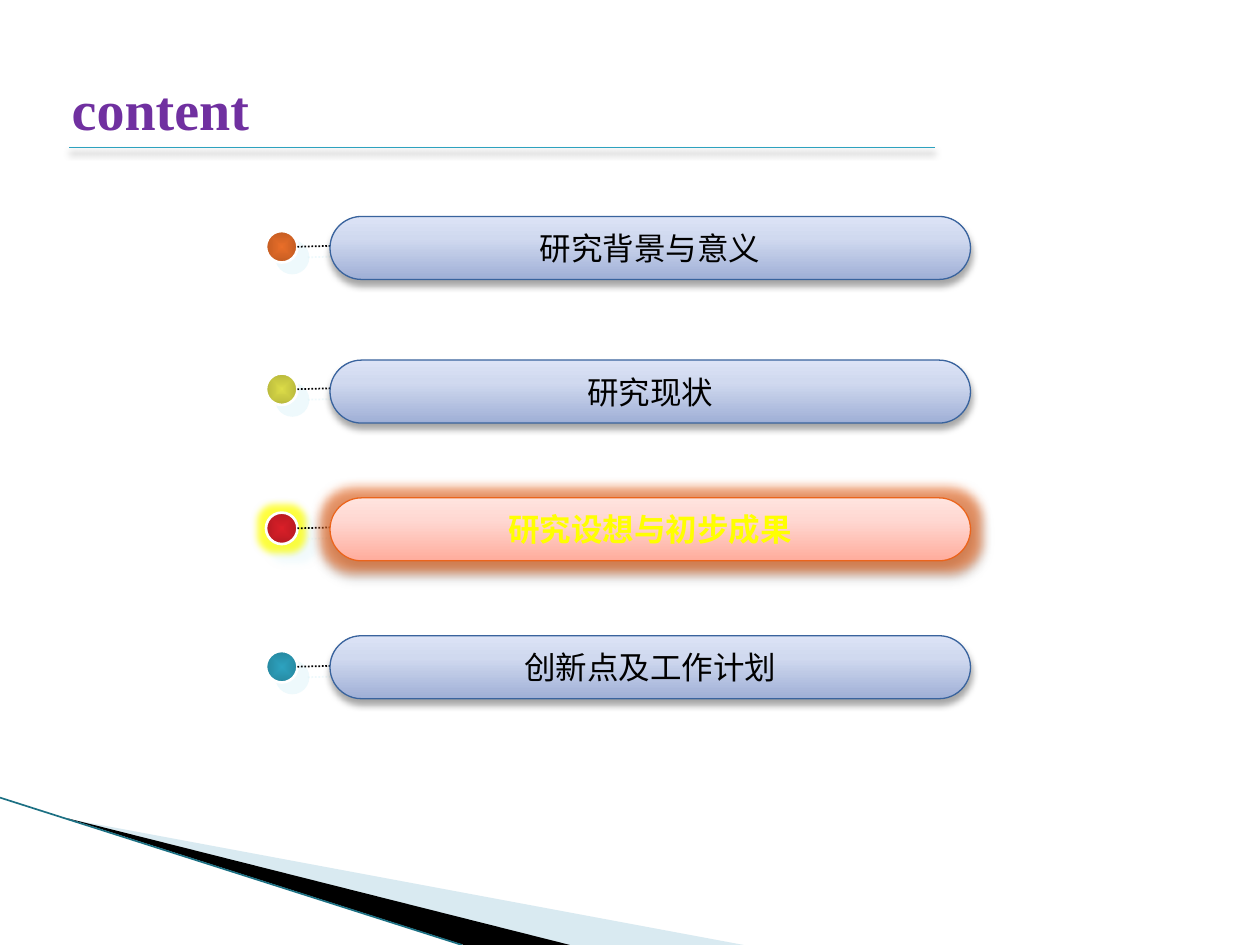
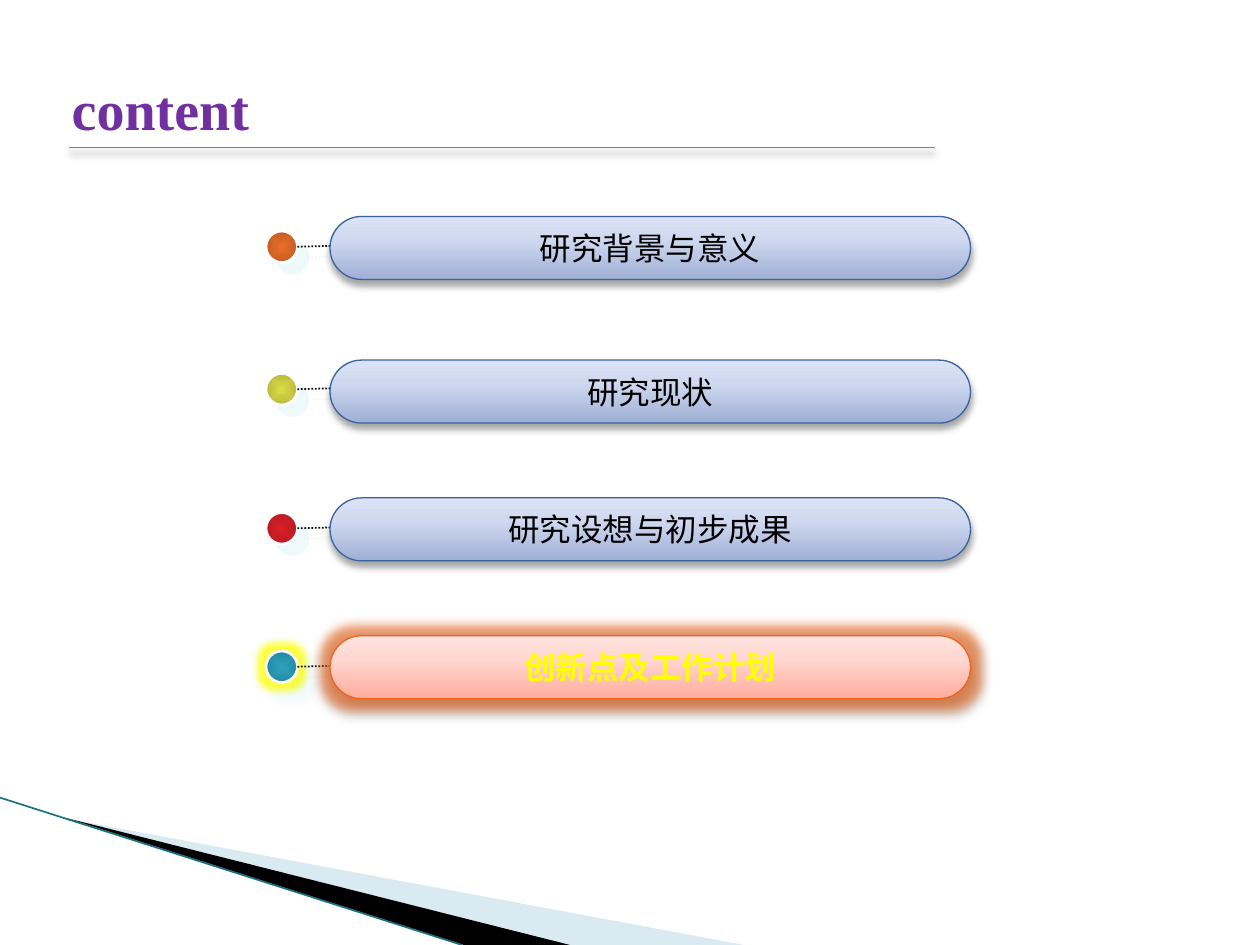
from dataclasses import dataclass

from lxml.etree import SubElement
from pptx import Presentation
from pptx.dml.color import RGBColor
from pptx.enum.dml import MSO_LINE
from pptx.enum.shapes import MSO_CONNECTOR, MSO_SHAPE
from pptx.enum.text import MSO_ANCHOR, PP_ALIGN
from pptx.oxml import parse_xml
from pptx.oxml.ns import nsdecls, qn
from pptx.util import Pt

COLOURS = {
    "white": "FFFFFF", "black": "000000", "title": "7030A0", "rule": "2DA2BF",
    "wedge": "A0CBDC", "wedge_edge": "1C7083", "dot_shadow": "DEF5FA",
    "highlight_text": "FFFF00", "dot_glow": "FFFF00", "pill_glow": "EB641B",
    "pill_line": "39639D", "highlight_line": "EB641B",
}
PILL_STOPS = [(0, "9FAFD6"), (65, "D0D9EF"), (100, "DCE3F6")]
HIGHLIGHT_STOPS = [(0, "FFAC9C"), (65, "FFD8D2"), (100, "FFE4DF")]
UPWARD = '<a:lin ang="16200000" scaled="0"/>'
FROM_CENTRE = ('<a:path path="shape"><a:fillToRect l="50000" t="50000" '
               'r="50000" b="50000"/></a:path>')

PILL_LEFT, PILL_WIDTH, PILL_HEIGHT = 188.6, 366, 36
DOT_LEFT, DOT_SIZE = 152, 18
LEADER_END = 197.3


@dataclass(frozen=True)
class Shadow:
    colour: str
    alpha: int
    blur: float
    distance: float
    angle: int


@dataclass(frozen=True)
class Glow:
    colour: str
    alpha: int
    radius: float


@dataclass(frozen=True)
class Topic:
    text: str
    pill_top: float
    dot_top: float
    inner: str
    outer: str


DOT_SHADOW = Shadow("dot_shadow", 50, 0, 8.5, 45)
PILL_SHADOW = Shadow("black", 35, 4, 3, 90)
RULE_SHADOW = Shadow("black", 40, 4, 3, 90)
DOT_GLOW = Glow("dot_glow", 75, 8)
PILL_GLOW = Glow("pill_glow", 60, 11)

TOPICS = [
    Topic("研究背景与意义", 123.7, 132, "E96E29", "C35C22"),
    Topic("研究现状", 205.8, 213.4, "DCDC48", "B8B83C"),
    Topic("研究设想与初步成果", 284.5, 292.9, "DA1F28", "B71A22"),
    Topic("创新点及工作计划", 363.3, 372, "2DA2BF", "2688A0"),
]


def rgb(name: str) -> RGBColor:
    return RGBColor.from_string(COLOURS[name])


def add_colour(parent, name: str, alpha: int) -> None:
    colour = SubElement(parent, qn("a:srgbClr"), val=COLOURS[name])
    SubElement(colour, qn("a:alpha"), val=str(alpha * 1000))


def set_effects(shape, shadow: Shadow | None = None, glow: Glow | None = None) -> None:
    """Replace the theme's effects; call after the fill and line are set."""
    effects = SubElement(shape._element.spPr, qn("a:effectLst"))
    if glow:
        element = SubElement(effects, qn("a:glow"), rad=str(Pt(glow.radius)))
        add_colour(element, glow.colour, glow.alpha)
    if shadow:
        element = SubElement(
            effects, qn("a:outerShdw"), blurRad=str(Pt(shadow.blur)),
            dist=str(Pt(shadow.distance)), dir=str(shadow.angle * 60000),
            algn="ctr", rotWithShape="0")
        add_colour(element, shadow.colour, shadow.alpha)


def set_gradient(shape, stops: list[tuple[int, str]], direction: str) -> None:
    shape.fill.solid()
    properties = shape._element.spPr
    stop_xml = "".join(f'<a:gs pos="{position * 1000}"><a:srgbClr val="{colour}"/></a:gs>'
                       for position, colour in stops)
    gradient = parse_xml(f'<a:gradFill {nsdecls("a")} rotWithShape="1">'
                         f'<a:gsLst>{stop_xml}</a:gsLst>{direction}</a:gradFill>')
    properties.replace(properties.find(qn("a:solidFill")), gradient)


def write_text(shape, text: str, *, font: str, size: float, colour: str,
               bold: bool = False, align=PP_ALIGN.LEFT, wrap: bool = True) -> None:
    frame = shape.text_frame
    frame.word_wrap = wrap
    frame.vertical_anchor = MSO_ANCHOR.MIDDLE
    para = frame.paragraphs[0]
    para.alignment = align
    span = para.add_run()
    span.text = text
    span.font.name = font
    span.font.size = Pt(size)
    span.font.bold = bold
    span.font.color.rgb = rgb(colour)
    SubElement(span._r.get_or_add_rPr(), qn("a:ea"), typeface=font)


def add_line(shapes, start: tuple[float, float], end: tuple[float, float], colour: str,
             width: float, shadow: Shadow | None = None, dash=None) -> None:
    line = shapes.add_connector(MSO_CONNECTOR.STRAIGHT, *map(Pt, start + end))
    line.line.color.rgb = rgb(colour)
    line.line.width = Pt(width)
    if dash:
        line.line.dash_style = dash
    set_effects(line, shadow)


def add_wedge(page, corners: list[tuple[float, float]], colour: str,
              alpha: int = 100) -> None:
    points = [(Pt(x), Pt(y)) for x, y in corners]
    builder = page.shapes.build_freeform(*points[0], scale=1.0)
    builder.add_line_segments(points[1:], close=True)
    wedge = builder.convert_to_shape()
    wedge.fill.solid()
    wedge.fill.fore_color.rgb = rgb(colour)
    colour_element = wedge._element.spPr.find(qn("a:solidFill"))[0]
    SubElement(colour_element, qn("a:alpha"), val=str(alpha * 1000))
    wedge.line.fill.background()
    set_effects(wedge)


def add_corner_band(page) -> None:
    add_wedge(page, [(39, 468), (425, 540), (325, 540)], "wedge", 40)
    add_wedge(page, [(38, 467.5), (325.7, 540), (265, 540)], "black")
    add_line(page.shapes, (0, 455.8), (264, 540), "wedge_edge", 0.95)


def add_heading(page, text: str) -> None:
    title = page.shapes.title
    title.left, title.top, title.width, title.height = map(Pt, (33.8, 33.8, 157.7, 56.2))
    write_text(title, text, font="Times New Roman", size=32, colour="title", bold=True)
    add_line(page.shapes, (39.6, 84.3), (534.2, 84.3), "rule", 0.75, RULE_SHADOW)


def add_topic(page, topic: Topic, highlighted: bool) -> None:
    shapes = page.shapes.add_group_shape().shapes

    dot = shapes.add_shape(MSO_SHAPE.OVAL, Pt(DOT_LEFT), Pt(topic.dot_top),
                           Pt(DOT_SIZE), Pt(DOT_SIZE))
    set_gradient(dot, [(0, topic.inner), (100, topic.outer)], FROM_CENTRE)
    dot.line.color.rgb = rgb("white")
    dot.line.width = Pt(1.5)
    set_effects(dot, DOT_SHADOW, DOT_GLOW if highlighted else None)

    middle = topic.dot_top + DOT_SIZE / 2
    add_line(shapes, (DOT_LEFT + DOT_SIZE, middle), (LEADER_END, middle - 0.7),
             "black", 1, DOT_SHADOW, MSO_LINE.ROUND_DOT)

    pill = shapes.add_shape(MSO_SHAPE.ROUNDED_RECTANGLE, Pt(PILL_LEFT), Pt(topic.pill_top),
                            Pt(PILL_WIDTH), Pt(PILL_HEIGHT))
    pill.adjustments[0] = 0.5
    set_gradient(pill, HIGHLIGHT_STOPS if highlighted else PILL_STOPS, UPWARD)
    pill.line.color.rgb = rgb("highlight_line" if highlighted else "pill_line")
    pill.line.width = Pt(0.75)
    set_effects(pill, PILL_SHADOW, PILL_GLOW if highlighted else None)
    write_text(pill, topic.text, font="Noto Sans Mono", size=18, bold=highlighted,
               colour="highlight_text" if highlighted else "black",
               align=PP_ALIGN.CENTER, wrap=False)


def add_contents_page(deck, current: int) -> None:
    """Add the contents page with the topic at index current highlighted."""
    page = deck.slides.add_slide(deck.slide_layouts[5])
    add_corner_band(page)
    for index, topic in enumerate(TOPICS):
        add_topic(page, topic, highlighted=index == current)
    add_heading(page, "content")


def main() -> None:
    deck = Presentation()
    deck.slide_width, deck.slide_height = Pt(720), Pt(540)
    for current in (2, 3):
        add_contents_page(deck, current)
    deck.save("out.pptx")


if __name__ == "__main__":
    main()
